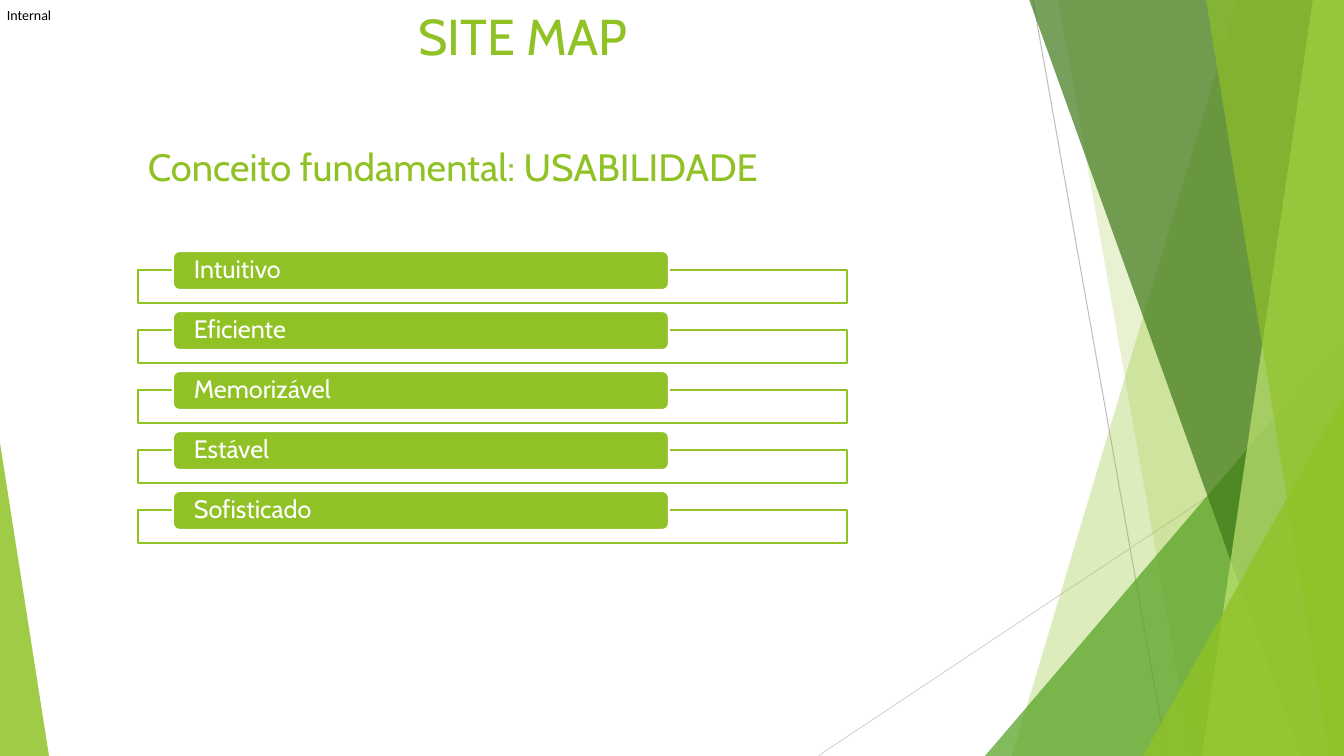
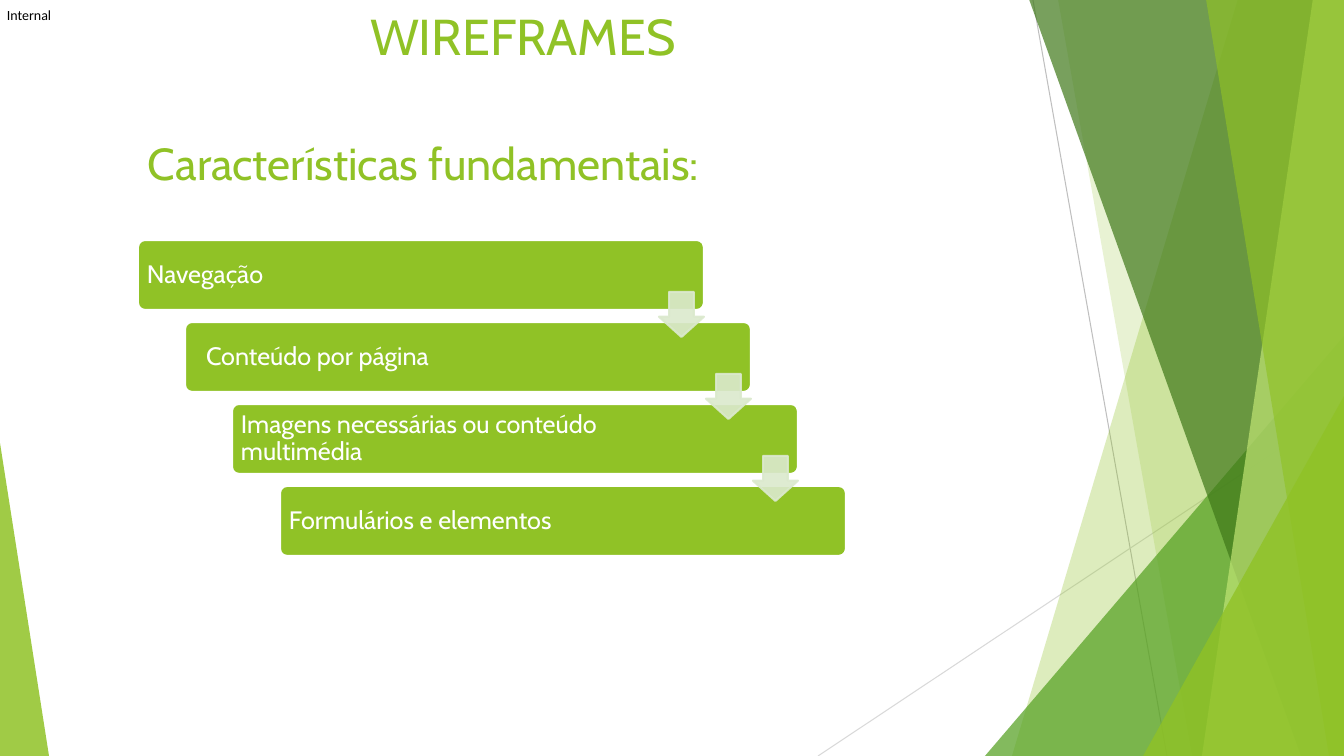
import pptx
import pptx.dml.color
import pptx.enum.shapes
import pptx.enum.text
import pptx.oxml
import pptx.oxml.ns
import pptx.util

# Shared style
PX = 12192000 / 1344  # EMU in one px
WIDTH, HEIGHT = 1344, 756
GREEN, LEAF, FOREST, LIME = "90C226", "54A021", "3F7819", "C0E474"
WHITE, BLACK, PALE = "FFFFFF", "000000", "DBE9CD"
BODY_FONT, LABEL_FONT = "Cabin", "Calibri"
SHAPE = pptx.enum.shapes.MSO_SHAPE
ALIGN = pptx.enum.text.PP_ALIGN
ANCHOR = pptx.enum.text.MSO_ANCHOR
CONTENT_LEFT = 138


def emu(*lengths):
    return [pptx.util.Emu(round(length * PX)) for length in lengths]


def rgb(colour):
    return pptx.dml.color.RGBColor.from_string(colour)


class Deck:
    """Holds the presentation, its style and the current slide."""

    def __init__(self):
        self.deck = pptx.Presentation()
        self.deck.slide_width, self.deck.slide_height = emu(WIDTH, HEIGHT)
        self.slide = None

    def new_slide(self, heading, subtitle, subtitle_size):
        self.slide = self.deck.slides.add_slide(self.deck.slide_layouts[5])
        self.backdrop()
        self.text(7, 7, 47, 17, "Internal", 10, BLACK, font=LABEL_FONT,
                  insets=(0, 0, 0, 0), wrap=False)
        title = self.slide.shapes.title
        title.left, title.top, title.width, title.height = emu(0, 0, 1046, 79)
        self.set_words(title, heading, 36, GREEN, align=ALIGN.CENTER)
        self.text(CONTENT_LEFT, 110, 694, 84, subtitle, subtitle_size, GREEN,
                  anchor=ANCHOR.BOTTOM)

    def backdrop(self):
        """Thin lines and translucent facets behind every slide."""
        self.line(1033, 0, 1167, HEIGHT, "BFBFBF")
        self.line(WIDTH, 406, 818, HEIGHT, "D9D9D9")
        self.facet(1238, 1012, GREEN, 30)
        self.facet(1058, 1192, GREEN, 20)
        self.triangle(985, 336, 359, 1, LEAF, 72)
        self.facet(1029, 1301, FOREST, 70)
        self.facet(1313, 1202, LIME, 70)
        self.facet(1206, 1329, GREEN, 65)
        self.triangle(1143, 396, 201, 1, GREEN, 80)
        self.triangle(0, 443, 49, 0, GREEN, 85)

    def line(self, x1, y1, x2, y2, colour):
        line = self.slide.shapes.add_connector(
            pptx.enum.shapes.MSO_CONNECTOR.STRAIGHT, *emu(x1, y1, x2, y2))
        line.line.color.rgb = rgb(colour)
        line.line.width = pptx.util.Pt(0.75)
        line.element.spPr.append(pptx.oxml.parse_xml(
            "<a:effectLst %s/>" % pptx.oxml.ns.nsdecls("a")))

    def facet(self, top_left, bottom_left, colour, opacity):
        """Band from a slanted left side to the right edge of the slide."""
        outline = self.slide.shapes.build_freeform(*emu(top_left, -1), scale=1)
        corners = (WIDTH, -1), (WIDTH, HEIGHT), (bottom_left, HEIGHT)
        outline.add_line_segments([emu(*corner) for corner in corners])
        self.paint(outline.convert_to_shape(), colour, opacity)

    def triangle(self, x, y, width, apex, colour, opacity):
        self.shape(SHAPE.ISOSCELES_TRIANGLE, x, y, width, HEIGHT - y,
                   colour, opacity, adjustments=[apex])

    def shape(self, kind, x, y, width, height, fill, opacity=100, line=None,
              line_opacity=100, adjustments=()):
        shape = self.slide.shapes.add_shape(kind, *emu(x, y, width, height))
        for index, value in enumerate(adjustments):
            shape.adjustments[index] = value
        self.paint(shape, fill, opacity, line, line_opacity)
        return shape

    def paint(self, shape, fill, opacity=100, line=None, line_opacity=100):
        shape.shadow.inherit = False
        shape.fill.solid()
        shape.fill.fore_color.rgb = rgb(fill)
        self.fade(shape, "./a:solidFill/a:srgbClr", opacity)
        if line is None:
            shape.line.fill.background()
            return
        shape.line.color.rgb = rgb(line)
        shape.line.width = pptx.util.Pt(1.5)
        self.fade(shape, "./a:ln/a:solidFill/a:srgbClr", line_opacity)

    def fade(self, shape, where, opacity):
        if opacity < 100:
            for colour in shape.element.spPr.xpath(where):
                colour.append(pptx.oxml.parse_xml('<a:alpha %s val="%d"/>' % (
                    pptx.oxml.ns.nsdecls("a"), opacity * 1000)))

    def text(self, x, y, width, height, words, size, colour, **style):
        box = self.slide.shapes.add_textbox(*emu(x, y, width, height))
        self.set_words(box, words, size, colour, **style)

    def set_words(self, shape, words, size, colour, font=BODY_FONT,
                  align=ALIGN.LEFT, anchor=ANCHOR.TOP, insets=(10, 5, 10, 5),
                  wrap=True, spacing=1.0):
        frame = shape.text_frame
        frame.text = words
        frame.auto_size = pptx.enum.text.MSO_AUTO_SIZE.NONE
        frame.word_wrap = wrap
        frame.vertical_anchor = anchor
        (frame.margin_left, frame.margin_top,
         frame.margin_right, frame.margin_bottom) = emu(*insets)
        paragraph = frame.paragraphs[0]
        paragraph.alignment = align
        paragraph.line_spacing = spacing
        for run in paragraph.runs:
            run.font.name = font
            run.font.size = pptx.util.Pt(size)
            run.font.color.rgb = rgb(colour)

    def bar(self, x, y, width, height, words, insets, adjustments=()):
        bar = self.shape(SHAPE.ROUNDED_RECTANGLE, x, y, width, height, GREEN,
                         line=WHITE, adjustments=adjustments)
        self.set_words(bar, words, 18, WHITE, anchor=ANCHOR.MIDDLE,
                       insets=insets, spacing=0.9)

    def down_arrow(self, x, y, size):
        self.shape(SHAPE.DOWN_ARROW, x, y, size, size, PALE, 90, PALE, 90,
                   adjustments=[0.55, 0.45])


def site_map(deck):
    deck.new_slide("SITE MAP", "Conceito fundamental: USABILIDADE", 27.2)
    qualities = "Intuitivo", "Eficiente", "Memorizável", "Estável", "Sofisticado"
    for row, quality in enumerate(qualities):
        top = 251 + 60 * row
        deck.shape(SHAPE.RECTANGLE, CONTENT_LEFT, top + 19, 709, 33,
                   WHITE, 90, GREEN)
        deck.bar(CONTENT_LEFT + 35, top, 496, 39, quality, (19, 0, 19, 0))


def wireframes(deck):
    deck.new_slide("WIREFRAMES", "Características fundamentais:", 32)
    features = (("Navegação", 7), ("Conteúdo por página", 19),
                ("Imagens necessárias ou conteúdo multimédia", 7),
                ("Formulários e elementos", 7))
    width, height, arrow = 566, 70, 45
    steps = [(CONTENT_LEFT + 142 * i // 3, 240 + 82 * i)
             for i in range(len(features))]
    for (x, y), (feature, indent) in zip(steps, features):
        deck.bar(x, y, width, height, feature, (indent, 0, 98, 0), [0.1])
    # Arrows lead from each step to the next
    for x, y in steps[:-1]:
        deck.down_arrow(x + width - arrow, y + 52, arrow)


def main():
    deck = Deck()
    site_map(deck)
    wireframes(deck)
    deck.deck.save("out.pptx")


if __name__ == "__main__":
    main()
